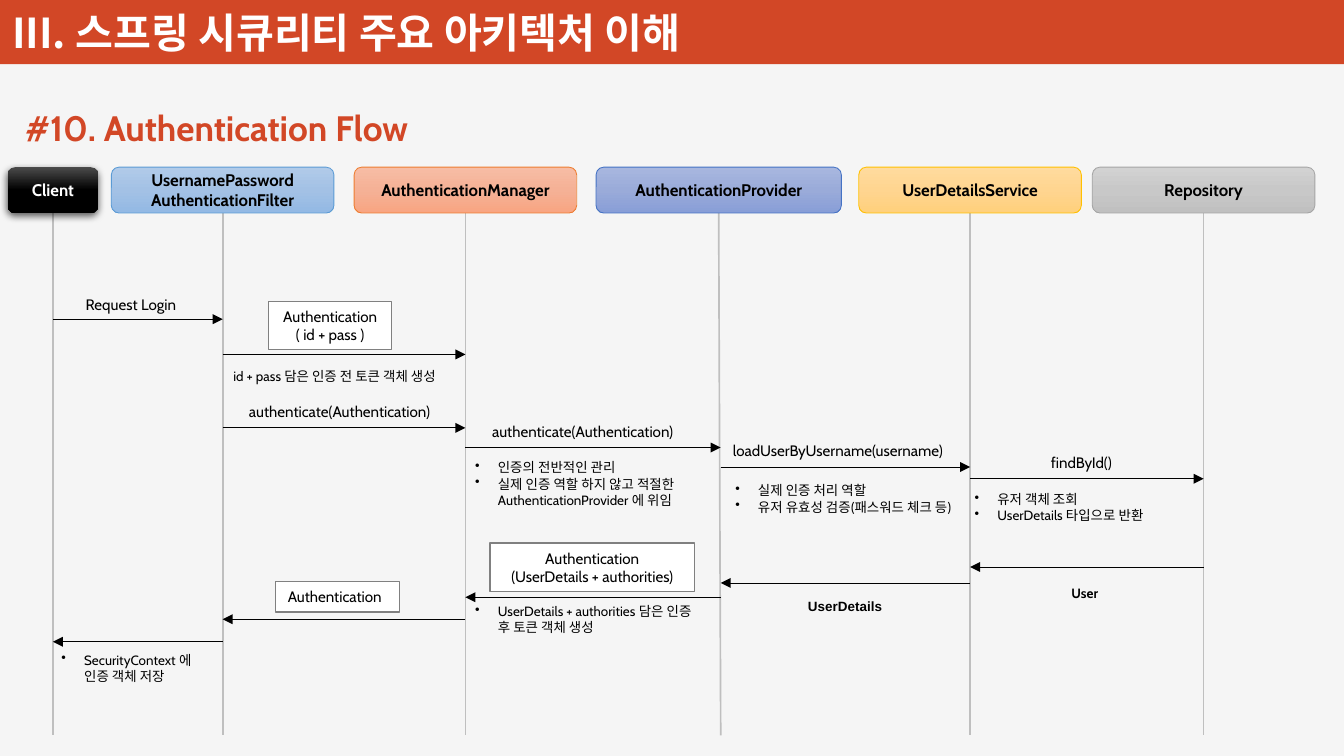
from copy import deepcopy
from pptx import Presentation
from pptx.dml.color import RGBColor
from pptx.enum.shapes import MSO_CONNECTOR, MSO_SHAPE
from pptx.enum.text import MSO_ANCHOR, MSO_AUTO_SIZE, PP_ALIGN
from pptx.oxml import parse_xml
from pptx.oxml.ns import nsdecls, qn
from pptx.util import Pt

LINE = MSO_CONNECTOR.STRAIGHT
RECT, ROUND = MSO_SHAPE.RECTANGLE, MSO_SHAPE.ROUNDED_RECTANGLE
MID, LOW = MSO_ANCHOR.MIDDLE, MSO_ANCHOR.BOTTOM
LEFT, CENTER = PP_ALIGN.LEFT, PP_ALIGN.CENTER
GROW, FIXED = MSO_AUTO_SIZE.SHAPE_TO_FIT_TEXT, MSO_AUTO_SIZE.NONE

TITLE = "III. 스프링 시큐리티 주요 아키텍처 이해"
HEADING = "#10. Authentication Flow"

ACTORS = [
    ("Client", 4.5, 54, ("4B4B4B", "000000", "000000"), None),
    ("UsernamePassword\nAuthenticationFilter", 66.3, 132.5,
     ("B1CBE9", "A3C1E5", "93B9E4"), "5B9BD5"),
    ("AuthenticationManager", 210.8, 132.5,
     ("F7BDA5", "F5B196", "F8A582"), "ED7D31"),
    ("AuthenticationProvider", 354.8, 146,
     ("A8B7DF", "9AABD9", "889ED7"), "4472C4"),
    ("UserDetailsService", 511.2, 132.5,
     ("FFDB9E", "FFD590", "FFD07C"), "FFC000"),
    ("Repository", 650.2, 132.5, ("D2D2D2", "C8C8C8", "C0C0C0"), "A5A5A5"),
]

CALLS = [
    (0, 1, 190), (1, 2, 211), (1, 2, 254.7), (2, 3, 266.4), (3, 4, 278),
    (4, 5, 285), (5, 4, 337.5), (4, 3, 347), (3, 2, 355.5), (2, 1, 368.6),
    (1, 0, 382),
]

LABELS = [
    ("Request Login", 43.9, 172.2, 72, "call"),
    ("authenticate(Authentication)", 141.1, 236.2, 128.9, "call"),
    ("authenticate(Authentication)", 285.8, 247.7, 128.9, "call"),
    ("loadUserByUsername(username)", 429.1, 259.2, 145.4, "call"),
    ("findById()", 618.5, 266.4, 52.6, "call"),
    ("id + pass 담은 인증 전 토큰 객체 생성", 131.8, 215.3, 149.8, "note"),
    ("UserDetails", 473.8, 347.8, 59, "reply"),
    ("User", 630.7, 339.8, 33.8, "user"),
]

NOTES = [
    (["인증의 전반적인 관리",
      "실제 인증 역할 하지 않고 적절한 AuthenticationProvider 에 위임"],
     275.8, 270, 149),
    (["실제 인증 처리 역할", "유저 유효성 검증(패스워드 체크 등)"],
     430.6, 283.7, 149),
    (["유저 객체 조회", "UserDetails 타입으로 반환"], 573.1, 288.7, 149),
    (["UserDetails + authorities 담은 인증 후 토큰 객체 생성"],
     275.8, 355.7, 148.3),
    (["SecurityContext 에 인증 객체 저장"], 29.5, 384.5, 95),
]

TOKENS = [
    ("Authentication\n( id + pass )", 159.8, 179.3, 73.4, 28.8, CENTER),
    ("Authentication\n(UserDetails + authorities)",
     291.6, 323.3, 121.7, 28.8, CENTER),
    ("Authentication", 164.2, 346.3, 73.4, 18, LEFT),
]

THEME = {
    "page": "F5F5F5", "brand": "D24726", "white": "FFFFFF", "ink": "000000",
    "rail": "BFBFBF", "edge": "808080", "asian": "Noto Sans CJK KR",
    "title": ("Noto Sans CJK KR", 24.5, True, "FFFFFF"),
    "heading": ("Cabin", 21, True, "D24726"),
    "actor": ("Cabin", 10, True, "000000"),
    "client": ("Cabin", 10, True, "FFFFFF"),
    "call": ("Cabin", 9, False, "000000"),
    "note": ("Cabin", 8, False, "000000"),
    "reply": ("Arial", 8, True, "000000"),
    "user": ("Cabin", 8, True, "000000"),
}
TOP, BASE, FOOT, BAND = 99.5, 126.8, 437.8, 38.2
SHADE = ('<a:outerShdw {} blurRad="57150" dist="19050" dir="5400000">'
         '<a:srgbClr val="000000"><a:alpha val="63000"/></a:srgbClr>'
         '</a:outerShdw>')


def tint(code):
    return RGBColor.from_string(code)


def put(item, **form):
    for key, val in form.items():
        setattr(item, key, val)


def write(frame, lines, style, align=LEFT, space=None, dots=False, **form):
    put(frame, **form)
    name, size, bold, ink = THEME[style]
    for i, line in enumerate(lines):
        para = frame.add_paragraph() if i else frame.paragraphs[0]
        put(para, text=line, alignment=align, line_spacing=space)
        for run in para.runs:
            put(run.font, name=name, size=Pt(size), bold=bold)
            run.font.color.rgb = tint(ink)
            face = parse_xml(f'<a:ea {nsdecls("a")}/>')
            face.set("typeface", THEME["asian"])
            run.font._element.find(qn("a:latin")).addnext(face)
        if dots:
            props = para._p.get_or_add_pPr()
            props.set("marL", str(Pt(13.5)))
            props.set("indent", str(-Pt(13.5)))
            props.append(parse_xml(f'<a:buChar {nsdecls("a")} char="•"/>'))


def shape(kind, left, top, wide, high, line=None, width=0.5):
    item = slide.shapes.add_shape(kind, Pt(left), Pt(top), Pt(wide), Pt(high))
    item.shadow.inherit = False
    if line:
        item.line.color.rgb = tint(line)
        item.line.width = Pt(width)
    else:
        item.line.fill.background()
    return item


def label(lines, left, top, wide, style, high=18, **form):
    box = slide.shapes.add_textbox(Pt(left), Pt(top), Pt(wide), Pt(high))
    write(box.text_frame, lines, style, auto_size=GROW, **form)


def link(x1, y1, x2, y2, ink, width, arrow=False):
    item = slide.shapes.add_connector(LINE, Pt(x1), Pt(y1), Pt(x2), Pt(y2))
    item.line.color.rgb = tint(THEME[ink])
    item.line.width = Pt(width)
    if arrow:
        tail = parse_xml(f'<a:tailEnd {nsdecls("a")} type="triangle"/>')
        item.line._get_or_add_ln().append(tail)
    item._element.spPr.append(parse_xml(f'<a:effectLst {nsdecls("a")}/>'))


def blend(item, hues):
    item.fill.gradient()
    item.fill.gradient_angle = 270
    stops = item._element.spPr.find(".//" + qn("a:gsLst"))
    stops.append(deepcopy(stops[0]))
    for i, (stop, hue) in enumerate(zip(item.fill.gradient_stops, hues)):
        stop.color.rgb = tint(hue)
        stop.position = i / 2


deck = Presentation()
put(deck, slide_width=Pt(800), slide_height=Pt(450))
slide = deck.slides.add_slide(deck.slide_layouts[5])
slide.background.fill.solid()
slide.background.fill.fore_color.rgb = tint(THEME["page"])

title = slide.shapes.title
put(title, left=Pt(0.7), top=Pt(-7.2), width=Pt(484), height=Pt(44))
write(title.text_frame, [TITLE], "title", auto_size=FIXED, word_wrap=True,
      vertical_anchor=LOW, margin_left=Pt(6.5), margin_right=Pt(6.5),
      margin_top=Pt(3), margin_bottom=Pt(3))
band = shape(RECT, 0, 0, 800, BAND)
band.fill.solid()
band.fill.fore_color.rgb = tint(THEME["brand"])
title._element.addprevious(band._element)

label([HEADING], 7.9, 59.8, 265, "heading", 32.4, word_wrap=False)

rails = [left + wide / 2 for _, left, wide, _, _ in ACTORS]
feet = [429 if i == 3 else x for i, x in enumerate(rails)]
for x, foot in zip(rails, feet):
    link(x, BASE, foot, FOOT, "rail", 1)

for name, left, wide, hues, edge in ACTORS:
    box = shape(ROUND, left, TOP, wide, BASE - TOP, edge)
    blend(box, hues)
    write(box.text_frame, name.split("\n"), "actor" if edge else "client",
          CENTER, vertical_anchor=MID, word_wrap=True)
    if not edge:
        glow = box._element.spPr.find(qn("a:effectLst"))
        glow.append(parse_xml(SHADE.format(nsdecls("a"))))

for start, end, y in CALLS:
    link(feet[start], y, feet[end], y, "ink", 0.5, True)

for text, left, top, wide, style in LABELS:
    reply = style in ("reply", "user")
    label([text], left, top, wide, style, word_wrap=reply,
          space=1.5 if reply else None)

for lines, left, top, wide in NOTES:
    label(lines, left, top, wide, "note", 26.6, word_wrap=True, dots=True)

for text, left, top, wide, high, align in TOKENS:
    box = shape(RECT, left, top, wide, high, THEME["edge"], 0.75)
    box.fill.solid()
    box.fill.fore_color.rgb = tint(THEME["white"])
    write(box.text_frame, [text], "call", align, auto_size=GROW,
          word_wrap=align == LEFT, vertical_anchor=MSO_ANCHOR.TOP)

deck.save("out.pptx")
